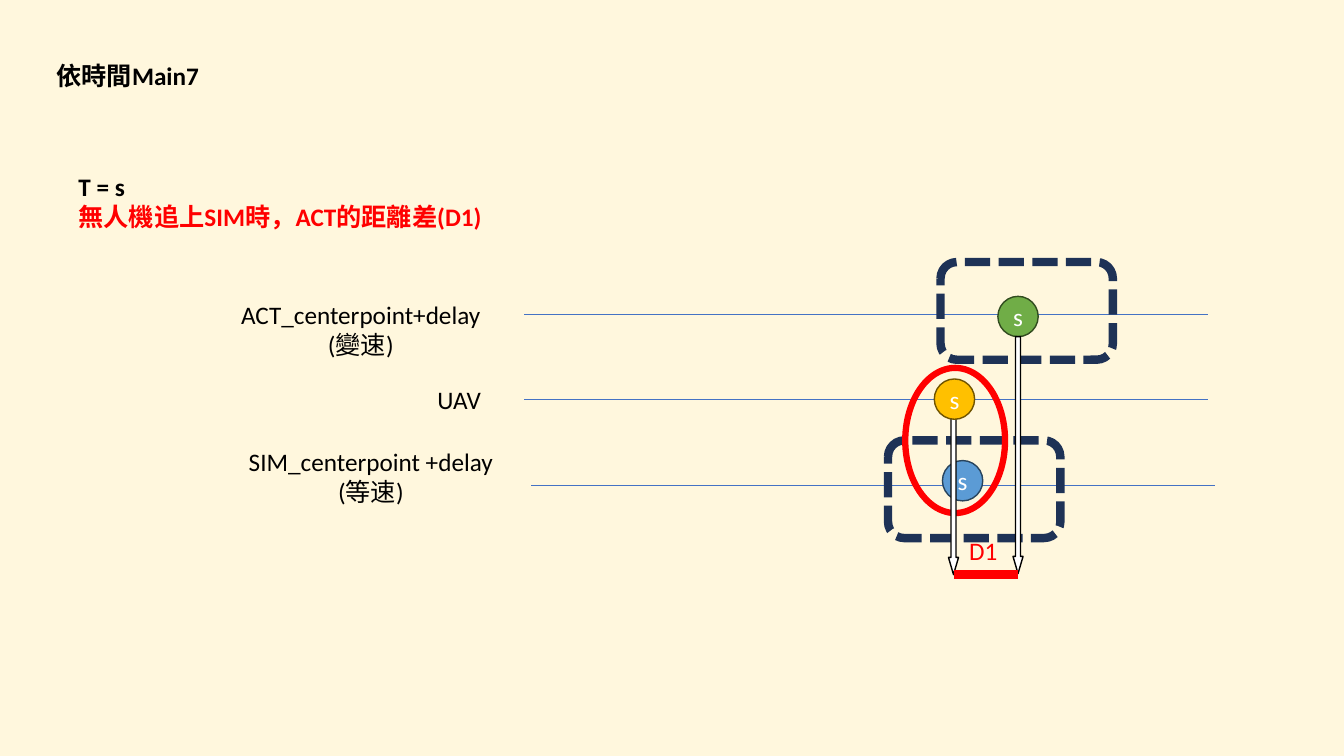
import pptx
import pptx.util
import pptx.dml.color
import pptx.enum.dml
import pptx.enum.shapes
import pptx.enum.text
import pptx.oxml.ns
import lxml.etree

Pt = pptx.util.Pt
Shape = pptx.enum.shapes.MSO_SHAPE
Align = pptx.enum.text.PP_ALIGN
Anchor = pptx.enum.text.MSO_ANCHOR


def color(value):
    return pptx.dml.color.RGBColor.from_string(value)


def write(box, lines, align=Align.CENTER, anchor=Anchor.TOP, bold=False):
    frame = box.text_frame
    frame.word_wrap = True
    frame.auto_size = pptx.enum.text.MSO_AUTO_SIZE.NONE
    frame.vertical_anchor = anchor
    for index, (text, shade) in enumerate(lines):
        para = frame.paragraphs[0] if index == 0 else frame.add_paragraph()
        para.alignment = align
        span = para.add_run()
        span.text = text
        for name, value in {"name": "Calibri", "size": Pt(18), "bold": bold}.items():
            setattr(span.font, name, value)
        span.font.color.rgb = color(shade)


deck = pptx.Presentation()
deck.slide_width, deck.slide_height = Pt(960), Pt(540)
page = deck.slides.add_slide(deck.slide_layouts[5])
page.background.fill.solid()
page.background.fill.fore_color.rgb = color("FFF7DD")

title = page.shapes.title
for name, value in {"left": 33.1, "top": 39.6, "width": 140.4, "height": 28.8}.items():
    setattr(title, name, Pt(value))
write(title, [("依時間Main7", "000000")], Align.LEFT, bold=True)

heading = page.shapes.add_textbox(Pt(49), Pt(118.8), Pt(338.4), Pt(51.1))
write(heading, [("T = s", "000000"), ("無人機追上SIM時，ACT的距離差(D1)", "FF0000")], Align.LEFT, bold=True)

labels = [
    (155.5, 210.2, 204.5, 51.1, ["ACT_centerpoint+delay", "(變速)"], "000000"),
    (302.4, 270.7, 51.1, 28.8, ["UAV"], "000000"),
    (155.5, 315.4, 218.9, 51.1, ["SIM_centerpoint +delay", "(等速)"], "000000"),
    (676.8, 378.7, 51.1, 28.8, ["D1"], "FF0000"),
]
tracks = [
    (374.4, 224.6, 488.2, "4472C4", 0.5),
    (374.4, 285.1, 488.2, "4472C4", 0.5),
    (379.4, 347, 488.2, "4472C4", 0.5),
]
distance = (681.1, 410.4, 46.1, "FF0000", 6)

marks = [
    (Shape.ROUNDED_RECTANGLE, 671.8, 187.2, 123.1, 69.8, None, "1E3256", 6),
    (Shape.OVAL, 712.8, 211.7, 28.8, 28.8, "70AD47", "314C1F", 1),
    (Shape.OVAL, 673.2, 329, 28.8, 28.8, "5B9BD5", "28445D", 1),
    (Shape.ROUNDED_RECTANGLE, 634.3, 314.6, 123.1, 69.8, None, "1E3256", 6),
    (Shape.OVAL, 646.6, 262.8, 71.3, 103.7, None, "FF0000", 4.5),
    (Shape.DOWN_ARROW, 723.6, 240.5, 7.2, 169.2, "FFFFFF", "000000", 1),
    (Shape.DOWN_ARROW, 677.5, 294.5, 7.2, 115.9, "FFFFFF", "000000", 1),
    (Shape.OVAL, 667.4, 270.7, 28.8, 28.8, "FFC000", "705400", 1),
]


for left, top, length, shade, weight in tracks + [distance]:
    line = page.shapes.add_connector(
        pptx.enum.shapes.MSO_CONNECTOR.STRAIGHT, Pt(left), Pt(top), Pt(left + length), Pt(top))
    line.line.color.rgb = color(shade)
    line.line.width = Pt(weight)
    properties = line._element.spPr
    lxml.etree.SubElement(properties, pptx.oxml.ns.qn("a:effectLst"))

for kind, left, top, width, height, fill, outline, weight in marks:
    mark = page.shapes.add_shape(kind, Pt(left), Pt(top), Pt(width), Pt(height))
    mark.shadow.inherit = False
    mark.line.color.rgb = color(outline)
    mark.line.width = Pt(weight)
    if fill:
        mark.fill.solid()
        mark.fill.fore_color.rgb = color(fill)
    else:
        mark.fill.background()
    if kind == Shape.ROUNDED_RECTANGLE:
        mark.line.dash_style = pptx.enum.dml.MSO_LINE.SQUARE_DOT
    elif kind == Shape.DOWN_ARROW:
        mark.adjustments[1] = 1.7
    elif fill:
        for side in ("left", "top", "right", "bottom"):
            setattr(mark.text_frame, "margin_" + side, Pt(0))
        write(mark, [("s", "FFFFFF")], anchor=Anchor.MIDDLE)

page.shapes._spTree.append(line._element)

for left, top, width, height, lines, shade in labels:
    label = page.shapes.add_textbox(Pt(left), Pt(top), Pt(width), Pt(height))
    write(label, [(text, shade) for text in lines])

deck.save("out.pptx")
